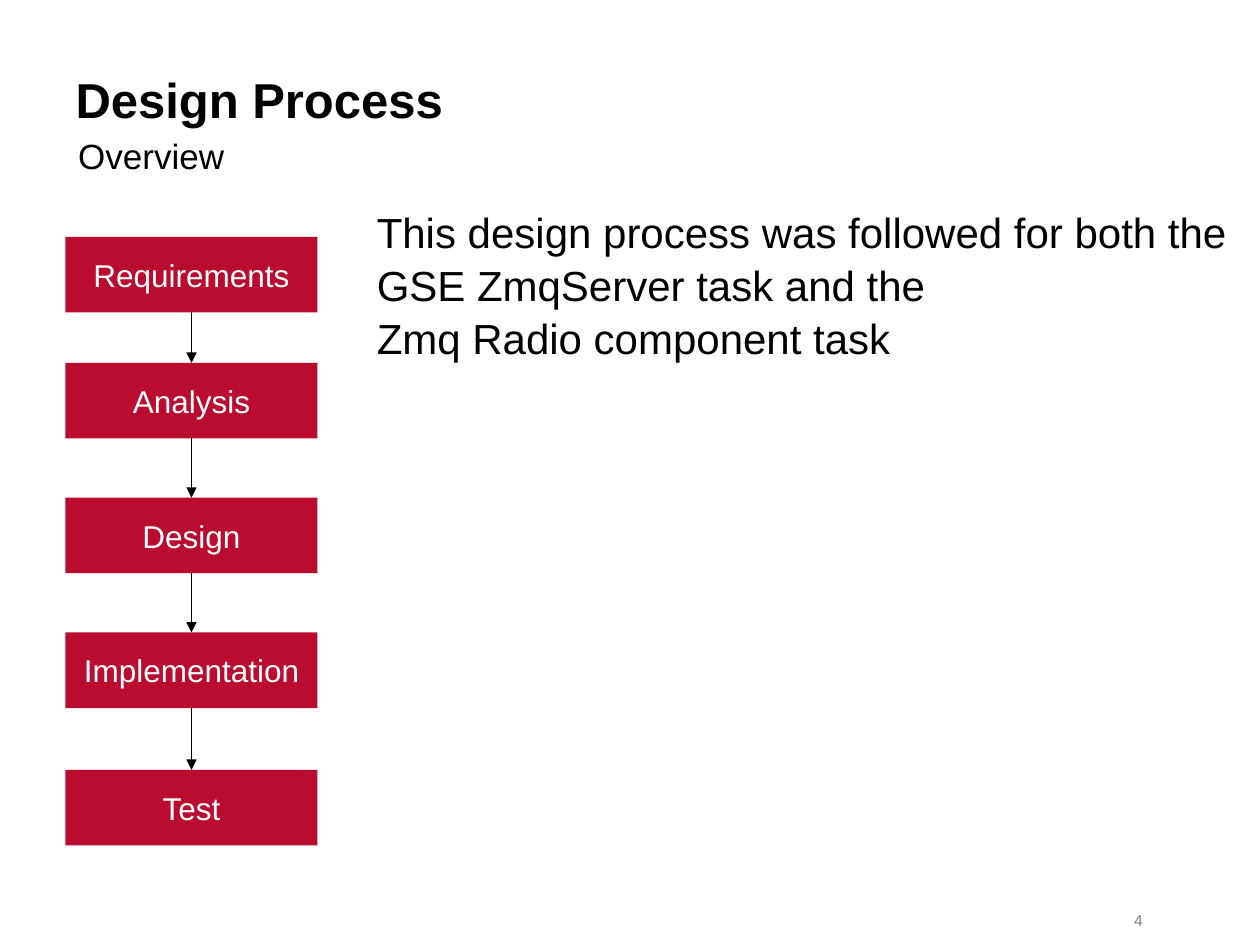
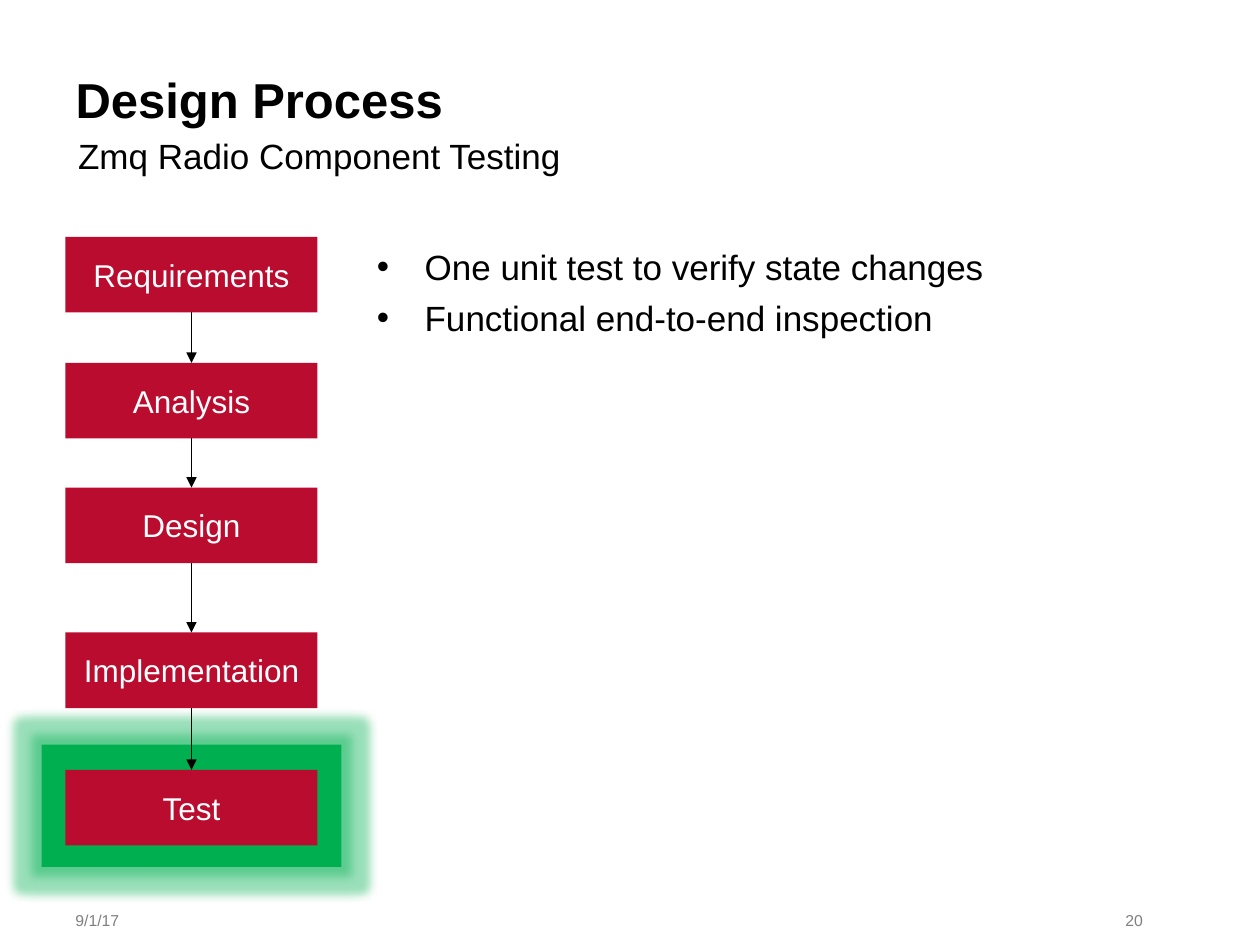
from itertools import pairwise

from lxml.etree import SubElement
from pptx import Presentation
from pptx.dml.color import RGBColor
from pptx.enum.shapes import MSO_CONNECTOR, MSO_SHAPE
from pptx.enum.text import MSO_ANCHOR, MSO_AUTO_SIZE, PP_ALIGN
from pptx.oxml.ns import qn
from pptx.util import Inches, Pt

BLACK = RGBColor(0x00, 0x00, 0x00)
WHITE = RGBColor(0xFF, 0xFF, 0xFF)
GREY = RGBColor(0x80, 0x80, 0x80)
CRIMSON = RGBColor(0xBA, 0x0C, 0x2F)
GREEN = RGBColor(0x00, 0xB0, 0x50)
FONT = "Arial"

TWO_CONTENT = 3
STEPS = ["Requirements", "Analysis", "Design", "Implementation", "Test"]
STEP_LEFT, STEP_WIDTH, STEP_HEIGHT = 0.52, 2, 0.6

# Boxes are left, top, width, height in inches
TITLE_BOX = (0.5, 0.5, 9, 0.48)
SUBTITLE_BOX = (0.52, 1, 9, 0.36)
DATE_BOX = (0.5, 7.1, 1.51, 0.4)
PAGE_BOX = (8, 7.1, 1.17, 0.4)
TEST_HIGHLIGHT_BOX = (0.33, 5.91, 2.38, 0.97)


def lengths(box):
    return [Inches(value) for value in box]


def write(frame, lines, size, color, align=PP_ALIGN.LEFT, anchor=MSO_ANCHOR.TOP, bold=False):
    """Fill a text frame with one evenly formatted paragraph per line."""
    frame.word_wrap = True
    frame.auto_size = MSO_AUTO_SIZE.NONE
    frame.vertical_anchor = anchor
    frame.text = "\n".join(lines)
    for paragraph in frame.paragraphs:
        paragraph.alignment = align
        font = paragraph.font
        font.name, font.size, font.bold = FONT, Pt(size), bold
        font.color.rgb = color


def place(placeholder, box):
    placeholder.left, placeholder.top, placeholder.width, placeholder.height = lengths(box)


def add_body(placeholder, box, lines, size, bulleted=False, space_before=0):
    place(placeholder, box)
    write(placeholder.text_frame, lines, size, BLACK)
    indent = Inches(0.38) if bulleted else 0
    for paragraph in placeholder.text_frame.paragraphs:
        paragraph.space_before = Pt(space_before)
        paragraph.line_spacing = 1.05
        properties = paragraph._p.get_or_add_pPr()
        properties.set("marL", str(indent))
        properties.set("indent", str(-indent))
        bullet = properties.makeelement(qn("a:buChar" if bulleted else "a:buNone"))
        if bulleted:
            bullet.set("char", "•")
        properties.insert_element_before(bullet, "a:tabLst", "a:defRPr", "a:extLst")


def add_footer(slide, box, text, align):
    frame = slide.shapes.add_textbox(*lengths(box)).text_frame
    write(frame, [text], 9, GREY, align, MSO_ANCHOR.MIDDLE)


def add_rectangle(slide, box, color):
    rectangle = slide.shapes.add_shape(MSO_SHAPE.RECTANGLE, *lengths(box))
    rectangle.shadow.inherit = False
    rectangle.fill.solid()
    rectangle.fill.fore_color.rgb = color
    rectangle.line.fill.background()
    return rectangle


def add_highlight(slide, box):
    """Green panel with a soft glow behind the current step."""
    panel = add_rectangle(slide, box, GREEN)
    effects = panel._element.spPr.find(qn("a:effectLst"))
    glow = SubElement(effects, qn("a:glow"), rad=str(Inches(0.15)))
    glow_color = SubElement(glow, qn("a:srgbClr"), val=str(GREEN))
    SubElement(glow_color, qn("a:alpha"), val="40000")


def add_arrow(slide, upper_step, lower_step):
    arrow = slide.shapes.add_connector(MSO_CONNECTOR.STRAIGHT, 0, 0, 0, 0)
    arrow.begin_connect(upper_step, 2)
    arrow.end_connect(lower_step, 0)
    arrow.line.color.rgb = BLACK
    arrow.line.width = Pt(1)
    SubElement(arrow.line._get_or_add_ln(), qn("a:tailEnd"), type="triangle")
    SubElement(arrow._element.spPr, qn("a:effectLst"))


def add_process(slide, tops):
    """Column of design steps, joined from top to bottom."""
    steps = []
    for label, top in zip(STEPS, tops):
        step = add_rectangle(slide, (STEP_LEFT, top, STEP_WIDTH, STEP_HEIGHT), CRIMSON)
        write(step.text_frame, [label], 18, WHITE, PP_ALIGN.CENTER, MSO_ANCHOR.MIDDLE)
        steps.append(step)
    for upper_step, lower_step in pairwise(steps):
        add_arrow(slide, upper_step, lower_step)


def add_process_slide(deck, subtitle, page, tops, highlight=None, date=None):
    """Build the shared parts and return the body placeholder."""
    slide = deck.slides.add_slide(deck.slide_layouts[TWO_CONTENT])
    title, subtitle_holder, body = slide.placeholders
    place(title, TITLE_BOX)
    write(title.text_frame, ["Design Process"], 28, BLACK, bold=True)
    add_body(subtitle_holder, SUBTITLE_BOX, [subtitle], 20)
    if highlight:
        add_highlight(slide, highlight)
    add_process(slide, tops)
    if date:
        add_footer(slide, DATE_BOX, date, PP_ALIGN.LEFT)
    add_footer(slide, PAGE_BOX, page, PP_ALIGN.RIGHT)
    return body


def main():
    deck = Presentation()
    deck.slide_width, deck.slide_height = Inches(10), Inches(7.5)

    # Overview
    overview = add_process_slide(deck, "Overview", "4", [1.88, 2.88, 3.95, 5.02, 6.11])
    add_body(overview, (2.89, 1.57, 7.11, 1.46), [
        "This design process was followed for both the GSE ZmqServer task and the",
        "Zmq Radio component task",
    ], 24)

    # Testing
    testing = add_process_slide(deck, "Zmq Radio Component Testing", "20",
                                [1.88, 2.88, 3.87, 5.02, 6.11],
                                highlight=TEST_HIGHLIGHT_BOX, date="9/1/17")
    add_body(testing, (2.89, 1.88, 6.74, 4.83), [
        "One unit test to verify state changes",
        "Functional end-to-end inspection",
    ], 20, bulleted=True, space_before=4)

    deck.save("out.pptx")


if __name__ == "__main__":
    main()
